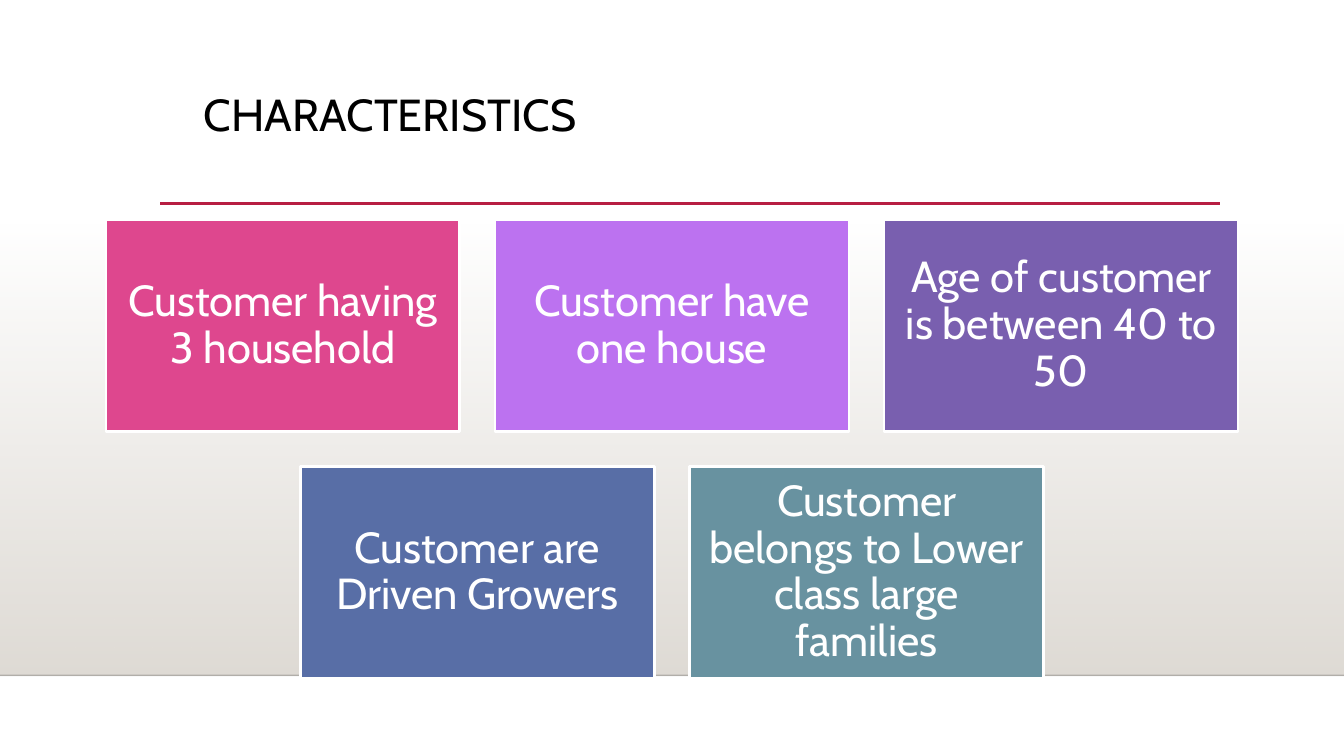
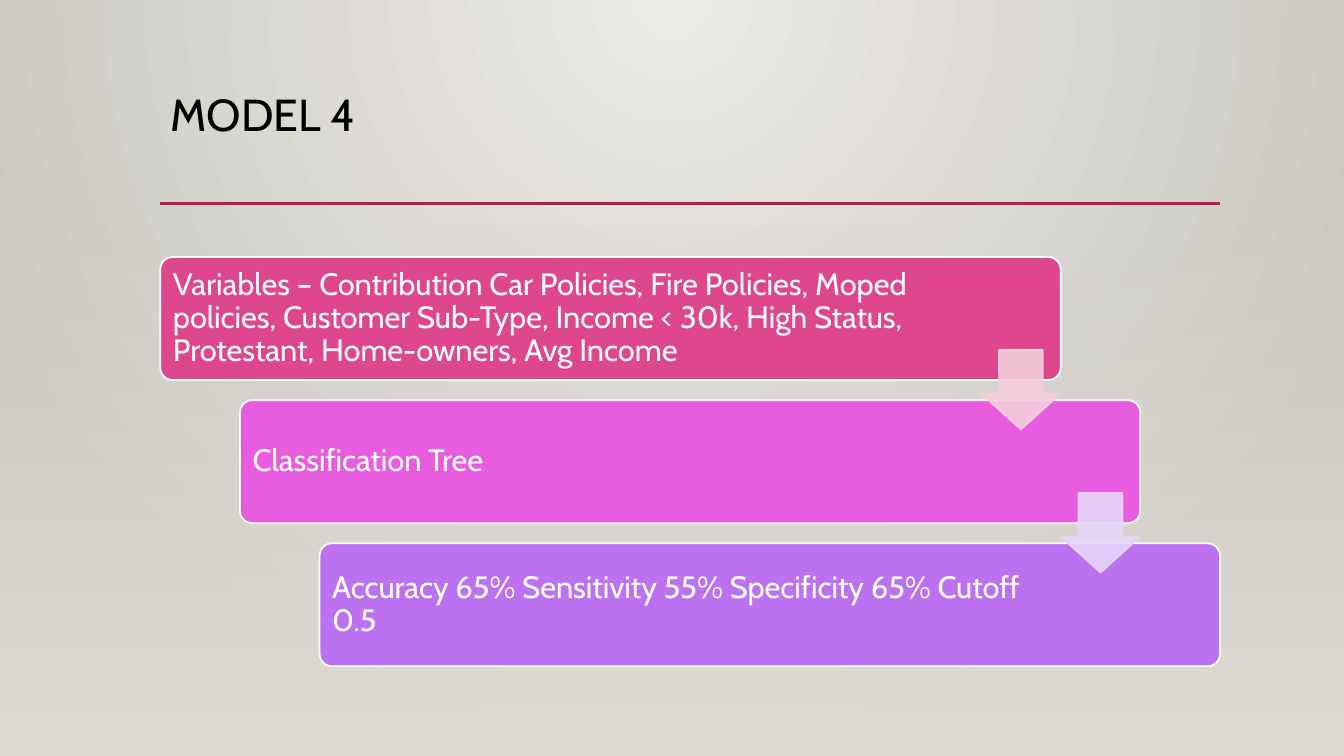
"""Builds two slides: customer characteristics and the steps of model 4."""
from lxml.etree import SubElement
from pptx import Presentation
from pptx.dml.color import RGBColor
from pptx.enum.shapes import MSO_CONNECTOR, MSO_SHAPE
from pptx.enum.text import MSO_ANCHOR, MSO_AUTO_SIZE, PP_ALIGN
from pptx.oxml.ns import qn
from pptx.util import Inches, Pt

FONT = "Cabin"
WIDTH, HEIGHT = 13.33, 7.5
FADE_TOP, FLOOR = 2.21, 6.7

WHITE = RGBColor(0xFF, 0xFF, 0xFF)
BLACK = RGBColor(0x00, 0x00, 0x00)
CRIMSON = RGBColor(0xB7, 0x1E, 0x42)
SAND = RGBColor(0xDF, 0xDB, 0xD5)
PALE_GREY = RGBColor(0xEC, 0xEA, 0xE7)
MID_GREY = RGBColor(0xCA, 0xC7, 0xC1)
PINK = RGBColor(0xDE, 0x47, 0x8E)
MAGENTA = RGBColor(0xE8, 0x5C, 0xE0)
VIOLET = RGBColor(0xBC, 0x72, 0xF0)
PURPLE = RGBColor(0x79, 0x5F, 0xAF)
BLUE = RGBColor(0x58, 0x6E, 0xA6)
TEAL = RGBColor(0x68, 0x92, 0xA0)
PALE_PINK = RGBColor(0xF2, 0xCF, 0xDB)
PALE_VIOLET = RGBColor(0xE7, 0xD5, 0xF9)

TRAIT_ROWS = [
    [("Customer having 3 household", PINK),
     ("Customer have one house", VIOLET),
     ("Age of customer is between 40 to 50", PURPLE)],
    [("Customer are Driven Growers", BLUE),
     ("Customer belongs to Lower class large families", TEAL)],
]
STEPS = [
    ("Variables – Contribution Car Policies, Fire Policies, Moped policies, "
     "Customer Sub-Type, Income < 30k, High Status, Protestant, Home-owners, "
     "Avg Income", PINK, 1.33),
    ("Classification Tree", MAGENTA, 1.67),
    ("Accuracy 65% Sensitivity 55% Specificity 65% Cutoff 0.5", VIOLET, 1.67),
]
ARROW_COLORS = [PALE_PINK, PALE_VIOLET]


def set_alpha(element, percent):
    for color in element.iter(qn("a:srgbClr")):
        SubElement(color, qn("a:alpha"), val=str(percent * 1000))


def set_gradient(fill, owner, stops, circle=None):
    """Stops are (position, colour, opacity); circle is the focus rectangle."""
    fill.gradient()
    grad = next(owner.iter(qn("a:gradFill")))
    for child in list(grad):
        grad.remove(child)
    stop_list = SubElement(grad, qn("a:gsLst"))
    for position, color, opacity in stops:
        stop = SubElement(stop_list, qn("a:gs"), pos=str(position * 1000))
        SubElement(stop, qn("a:srgbClr"), val=str(color))
        if opacity < 100:
            set_alpha(stop, opacity)
    if circle:
        focus = SubElement(grad, qn("a:path"), path="circle")
        SubElement(focus, qn("a:fillToRect"),
                   {side: str(v * 1000) for side, v in zip("ltrb", circle)})
    else:
        SubElement(grad, qn("a:lin"), ang="5400000", scaled="0")


def add_line(s, left, right, y, color, width):
    line = s.shapes.add_connector(MSO_CONNECTOR.STRAIGHT, Inches(left),
                                  Inches(y), Inches(right), Inches(y))
    line.line.color.rgb = color
    line.line.width = Pt(width)
    sp_pr = line._element.spPr
    SubElement(sp_pr, qn("a:effectLst"))
    return sp_pr


def add_box(s, kind, left, top, width, height, color=None, line=None, weight=1):
    sp = s.shapes.add_shape(kind, Inches(left), Inches(top),
                            Inches(width), Inches(height))
    sp.shadow.inherit = False
    if color is not None:
        sp.fill.solid()
        sp.fill.fore_color.rgb = color
    if line is None:
        sp.line.fill.background()
    else:
        sp.line.color.rgb = line
        sp.line.width = Pt(weight)
    return sp


def write(sp, text, size, color, align, anchor, inset, right=None):
    tf = sp.text_frame
    tf.word_wrap = True
    tf.auto_size = MSO_AUTO_SIZE.NONE
    tf.vertical_anchor = anchor
    tf.margin_left = Inches(inset)
    tf.margin_right = Inches(inset if right is None else right)
    p = tf.paragraphs[0]
    p.alignment = align
    p.line_spacing = 0.9
    r = p.add_run()
    r.text = text
    r.font.name = FONT
    r.font.size = Pt(size)
    r.font.color.rgb = color


def add_slide(prs, title, title_left, title_width, fade_bottom):
    s = prs.slides.add_slide(prs.slide_layouts[5])
    sp = s.shapes.title
    sp.left, sp.top = Inches(title_left), Inches(0.87)
    sp.width, sp.height = Inches(title_width), Inches(1.15)
    write(sp, title, 32, BLACK, PP_ALIGN.LEFT, MSO_ANCHOR.TOP, 0.1)
    fade = add_box(s, MSO_SHAPE.RECTANGLE, 0, FADE_TOP, WIDTH,
                   fade_bottom - FADE_TOP)
    set_gradient(fade.fill, fade._element, [(0, SAND, 0), (100, SAND, 100)])
    add_line(s, 1.59, 12.1, 2.02, CRIMSON, 2.5)
    return s


def build_characteristics(prs):
    s = add_slide(prs, "CHARACTERISTICS", 1.92, 9.49, FLOOR)
    set_alpha(add_line(s, 0, WIDTH, FLOOR, BLACK, 1), 20)
    width, height, gap = 3.51, 2.1, 0.35
    for row, traits in enumerate(TRAIT_ROWS):
        start = (WIDTH - len(traits) * (width + gap) + gap) / 2
        top = 2.18 + row * (height + gap)
        for col, (text, color) in enumerate(traits):
            sp = add_box(s, MSO_SHAPE.RECTANGLE, start + col * (width + gap),
                         top, width, height, color, WHITE, 1.75)
            write(sp, text, 31, WHITE, PP_ALIGN.CENTER, MSO_ANCHOR.MIDDLE, 0.13)


def build_model(prs):
    s = add_slide(prs, "MODEL 4", 1.59, 10.5, HEIGHT)
    set_gradient(s.background.fill, s._element,
                 [(0, PALE_GREY, 100), (100, MID_GREY, 100)], (43, 0, 43, 100))
    left, top, width, height = 1.59, 2.55, 8.93, 1.22
    step_x, step_y, arrow = 0.79, 1.42, 0.79
    for i, (text, color, right) in enumerate(STEPS):
        sp = add_box(s, MSO_SHAPE.ROUNDED_RECTANGLE, left + i * step_x,
                     top + i * step_y, width, height, color, WHITE, 1.25)
        sp.adjustments[0] = 0.1
        write(sp, text, 22, WHITE, PP_ALIGN.LEFT, MSO_ANCHOR.MIDDLE, 0.09, right)
    for i, color in enumerate(ARROW_COLORS):
        sp = add_box(s, MSO_SHAPE.DOWN_ARROW, left + width - arrow + i * step_x,
                     top + 0.92 + i * step_y, arrow, arrow, color, color, 1.25)
        sp.adjustments[0], sp.adjustments[1] = 0.55, 0.45
        set_alpha(sp._element.spPr, 90)


def main():
    prs = Presentation()
    prs.slide_width, prs.slide_height = Inches(WIDTH), Inches(HEIGHT)
    build_characteristics(prs)
    build_model(prs)
    prs.save("out.pptx")


if __name__ == "__main__":
    main()
